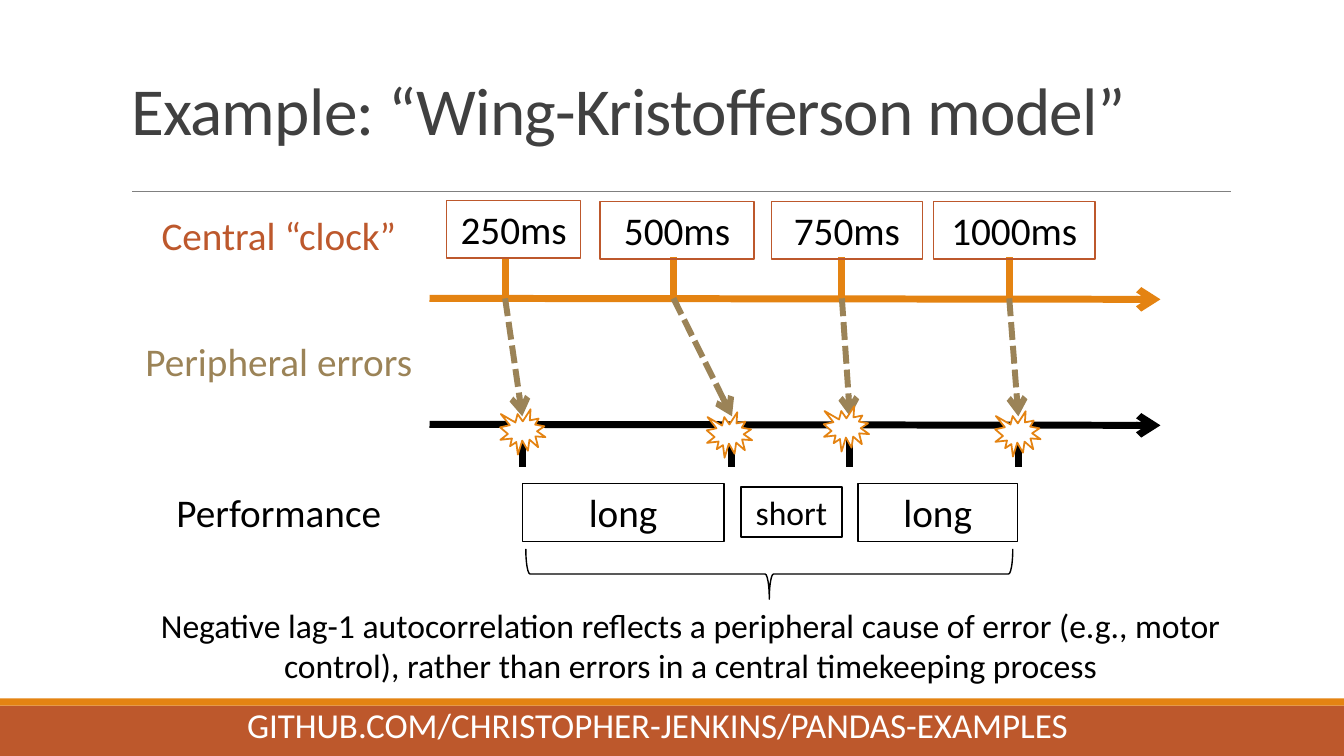
from lxml.etree import SubElement
from pptx import Presentation
from pptx.dml.color import RGBColor
from pptx.enum.dml import MSO_LINE
from pptx.enum.shapes import MSO_CONNECTOR, MSO_SHAPE
from pptx.enum.text import MSO_ANCHOR, PP_ALIGN
from pptx.oxml.ns import qn
from pptx.util import Inches, Pt

BLACK = RGBColor(0x00, 0x00, 0x00)
WHITE = RGBColor(0xFF, 0xFF, 0xFF)
CHARCOAL = RGBColor(0x40, 0x40, 0x40)
GRAY = RGBColor(0x80, 0x80, 0x80)
RUST = RGBColor(0xBD, 0x58, 0x2C)
ORANGE = RGBColor(0xE4, 0x83, 0x12)
TAN = RGBColor(0x9B, 0x83, 0x57)

TITLE = "Example: “Wing-Kristofferson model”"
FOOTER = "GITHUB.COM/CHRISTOPHER-JENKINS/PANDAS-EXAMPLES"
CONCLUSION = (
    "Negative lag-1 autocorrelation reflects a peripheral cause of error "
    "(e.g., motor control), rather than errors in a central timekeeping process"
)
ROW_LABELS = [
    ("Peripheral errors", 3.3, TAN),
    ("Performance", 4.8, BLACK),
    ("Central “clock”", 2.05, RUST),
]
CLOCK_BOXES = [
    ("250ms", 4.43, 1.99, 1.33),
    ("500ms", 5.95, 2, 1.53),
    ("750ms", 7.65, 2, 1.5),
    ("1000ms", 9.26, 2, 1.6),
]
INTERVAL_BOXES = [
    ("long", 5.18, 4.8, 2, 0.57, 28),
    ("short", 7.35, 4.83, 1, 0.5, 24),
    ("long", 8.51, 4.8, 1.58, 0.57, 28),
]
TICKS = [5.01, 6.68, 8.35, 10.01]
TAPS = [5.18, 7.26, 8.43, 10.1]
BURSTS = [(4.96, 4.06), (7.01, 4.09), (8.17, 4.03), (9.87, 4.08)]

AXIS_LEFT, AXIS_RIGHT = 4.26, 11.51
CLOCK_Y, TAP_Y = 2.96, 4.21


def write(shape, text, size, color, align=PP_ALIGN.CENTER, anchor=MSO_ANCHOR.TOP, wrap=True):
    """Put one formatted run into a shape."""
    frame = shape.text_frame
    frame.word_wrap = wrap
    frame.vertical_anchor = anchor
    paragraph = frame.paragraphs[0]
    paragraph.alignment = align
    run = paragraph.add_run()
    run.text = text
    run.font.size = Pt(size)
    run.font.name = "Calibri"
    run.font.color.rgb = color
    return run


def add_shape(slide, kind, left, top, width, height, fill=None, line=None, weight=1):
    """Add a flat preset shape with optional fill and outline."""
    shape = slide.shapes.add_shape(kind, Inches(left), Inches(top), Inches(width), Inches(height))
    shape.shadow.inherit = False
    if fill is None:
        shape.fill.background()
    else:
        shape.fill.solid()
        shape.fill.fore_color.rgb = fill
    if line is None:
        shape.line.fill.background()
    else:
        shape.line.color.rgb = line
        shape.line.width = Pt(weight)
    return shape


def add_text(slide, text, left, top, width, height, size, color, **layout):
    """Add a text box holding one run."""
    box = slide.shapes.add_textbox(Inches(left), Inches(top), Inches(width), Inches(height))
    write(box, text, size, color, **layout)


def add_line(slide, start, end, color, weight, arrow=False, dash=None):
    """Add a straight line, optionally dashed or with an arrowhead."""
    connector = slide.shapes.add_connector(
        MSO_CONNECTOR.STRAIGHT, *(Inches(value) for value in (*start, *end))
    )
    connector.line.color.rgb = color
    connector.line.width = Pt(weight)
    if dash is not None:
        connector.line.dash_style = dash
    if arrow:
        SubElement(connector.line._get_or_add_ln(), qn("a:tailEnd"), type="arrow")
    SubElement(connector._element.spPr, qn("a:effectLst"))


def add_frame(slide):
    """Add the title, its rule and the footer band."""
    add_shape(slide, MSO_SHAPE.RECTANGLE, 0, 7, 13.33, 0.5, RUST)
    add_shape(slide, MSO_SHAPE.RECTANGLE, 0, 6.93, 13.33, 0.07, ORANGE)
    add_line(slide, (1.31, 1.9), (12.21, 1.9), GRAY, 0.5)
    add_text(slide, FOOTER, 2.33, 6.92, 8.38, 0.54, 25, WHITE, anchor=MSO_ANCHOR.MIDDLE, wrap=False)
    title = slide.shapes.title
    title.left, title.top = Inches(1.2), Inches(-0.06)
    title.width, title.height = Inches(11), Inches(1.59)
    run = write(title, TITLE, 48, CHARCOAL, PP_ALIGN.LEFT, MSO_ANCHOR.BOTTOM)
    run._r.get_or_add_rPr().set("spc", "-50")
    title.text_frame.paragraphs[0].line_spacing = 0.85


def add_timelines(slide):
    """Add both time axes, their ticks and the error arrows between them."""
    add_line(slide, (AXIS_LEFT, CLOCK_Y), (AXIS_RIGHT, CLOCK_Y + 0.01), ORANGE, 5, arrow=True)
    for tick in TICKS:
        add_line(slide, (tick, 2.55), (tick, CLOCK_Y), ORANGE, 5)
    for tick, tap in zip(TICKS, TAPS):
        add_line(slide, (tick, CLOCK_Y), (tap, 4.13), TAN, 4.25, arrow=True, dash=MSO_LINE.SQUARE_DOT)
    add_line(slide, (AXIS_LEFT, TAP_Y), (AXIS_RIGHT, TAP_Y + 0.01), BLACK, 5, arrow=True)
    for tap in TAPS:
        add_line(slide, (tap, TAP_Y), (tap, 4.63), BLACK, 5)


def add_annotations(slide):
    """Add the boxes, row labels, brace, conclusion and bursts."""
    for text, left, top, width in CLOCK_BOXES:
        box = add_shape(slide, MSO_SHAPE.RECTANGLE, left, top, width, 0.57, line=RUST)
        write(box, text, 28, BLACK)
    for text, left, top, width, height, size in INTERVAL_BOXES:
        box = add_shape(slide, MSO_SHAPE.RECTANGLE, left, top, width, height, line=BLACK)
        write(box, text, size, BLACK)
    for text, top, color in ROW_LABELS:
        add_text(slide, text, 1.27, top, 2.99, 0.57, 28, color)
    brace = add_shape(slide, MSO_SHAPE.RIGHT_BRACE, 7.38, 3.28, 0.5, 4.83, line=BLACK)
    brace.rotation = 90
    add_text(slide, CONCLUSION, 0.96, 5.95, 11.78, 0.91, 24, BLACK)
    for left, top in BURSTS:
        add_shape(slide, MSO_SHAPE.EXPLOSION1, left, top, 0.45, 0.45, WHITE, ORANGE, 1.25)


def main():
    """Build and save the slide."""
    presentation = Presentation()
    presentation.slide_width, presentation.slide_height = Inches(13.33), Inches(7.5)
    slide = presentation.slides.add_slide(presentation.slide_layouts[5])
    add_frame(slide)
    add_timelines(slide)
    add_annotations(slide)
    presentation.save("out.pptx")


if __name__ == "__main__":
    main()
